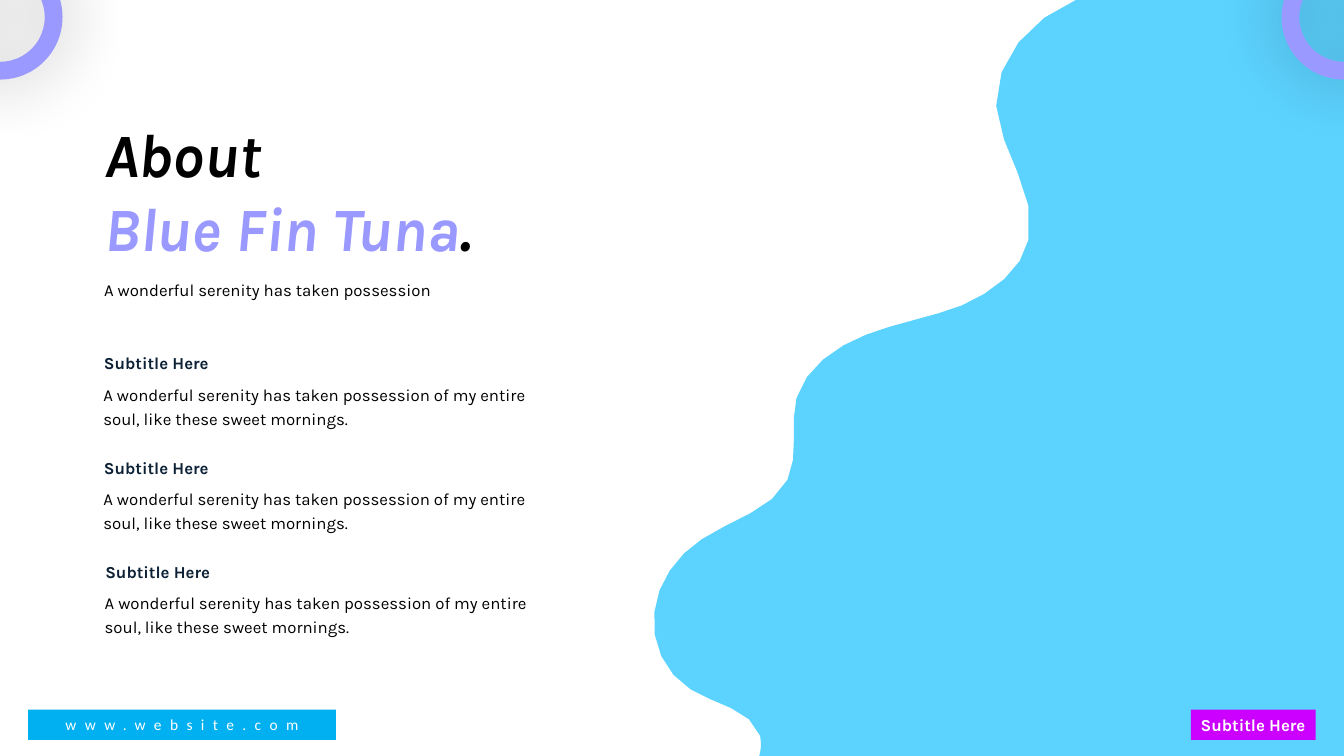
from lxml.etree import SubElement
from pptx import Presentation
from pptx.dml.color import RGBColor
from pptx.enum.shapes import MSO_SHAPE
from pptx.enum.text import MSO_ANCHOR, MSO_AUTO_SIZE, PP_ALIGN
from pptx.oxml.ns import qn
from pptx.util import Inches, Pt

COLORS = {"wave": "5CD3FF", "accent": "9999FF", "text": "000000", "heading": "0C2036",
          "label": "CC00FF", "website": "00B0F0", "white": "FFFFFF"}

# Edge of the wave from the bottom up: two control points and an end point per curve
WAVE_START = (56.49, 100)
WAVE_CURVES = [
    ((56.64, 99.2), (56.64, 98.27), (56.56, 97.33)),
    ((55.89, 93.73), (53.19, 93.2), (51.39, 91.2)),
    ((49.44, 89.07), (48.39, 84.93), (48.69, 80.93)),
    ((48.91, 77.07), (50.34, 73.47), (52.21, 71.33)),
    ((54.46, 68.67), (57.46, 67.47), (58.59, 63.47)),
    ((59.49, 60.13), (58.74, 56.13), (59.26, 52.67)),
    ((59.94, 48.67), (62.12, 45.87), (64.44, 44.27)),
    ((66.77, 42.67), (69.24, 42), (71.57, 40.4)),
    ((73.82, 38.67), (76.07, 35.73), (76.52, 31.73)),
    ((77.34, 25.6), (74.34, 20), (74.12, 14)),
    ((73.97, 7.87), (76.74, 2.4), (80.05, 0)),
    ((81.7, -1.07), (83.5, -1.6), (85.3, -1.6)),
    ((87.1, -1.6), (88.97, -1.2), (90.7, -0.4)),
]
WAVE_CORNERS = [(91.82, 0), (100, 0), (100, 100)]
CURVE_STEPS = 4

TEXT_LEFT = 7
SECTION_TOP, SECTION_PITCH = 45.25, 13.8
SECTION_LEFTS = (7, 7, 7.1)
SECTION_HEADING = "Subtitle Here"
SECTION_BODY = ("A wonderful serenity has taken possession of my entire soul, "
                "like these sweet mornings.")


def curve_points(start, first, second, end):
    for step in range(1, CURVE_STEPS + 1):
        t = step / CURVE_STEPS
        weights = ((1 - t) ** 3, 3 * t * (1 - t) ** 2, 3 * t * t * (1 - t), t ** 3)
        yield tuple(sum(weight * point[axis] for weight, point
                        in zip(weights, (start, first, second, end))) for axis in (0, 1))


class SlideBuilder:
    """Places elements by percent of the slide's width and height."""

    def __init__(self, deck, page):
        self.deck, self.page = deck, page
        self.font = "Karla"

    def point(self, x, y):
        return (round(self.deck.slide_width * x / 100),
                round(self.deck.slide_height * y / 100))

    def frame(self, left, top, width, height):
        return self.point(left, top) + self.point(width, height)

    def style(self, font, size, color, bold=False, italic=False, name=None):
        font.name, font.size = name or self.font, Pt(size)
        font.bold, font.italic = bold, italic
        font.color.rgb = RGBColor.from_string(COLORS[color])

    def paint(self, shape, color):
        shape.shadow.inherit = False
        shape.fill.solid()
        shape.fill.fore_color.rgb = RGBColor.from_string(COLORS[color])
        shape.line.fill.background()
        return shape

    def title(self, lines, frame):
        box = self.page.shapes.title
        box.left, box.top, box.width, box.height = self.frame(*frame)
        text = box.text_frame
        text.auto_size, text.vertical_anchor = MSO_AUTO_SIZE.NONE, MSO_ANCHOR.TOP
        for index, spans in enumerate(lines):
            para = text.add_paragraph() if index else text.paragraphs[0]
            para.alignment, para.space_before = PP_ALIGN.LEFT, Pt(0)
            self.style(para.font, 44, "text", bold=True, italic=True)
            for words, color in spans:
                span = para.add_run()
                span.text = words
                span.font.color.rgb = RGBColor.from_string(COLORS[color])

    def text(self, words, frame, spacing, color="text", bold=False):
        box = self.page.shapes.add_textbox(*self.frame(*frame))
        box.text_frame.word_wrap = True
        para = box.text_frame.paragraphs[0]
        para.text, para.line_spacing = words, spacing
        self.style(para.font, 12, color, bold)

    def banner(self, kind, words, frame, fill, size, align, bold=False, name=None, tracking=0):
        shape = self.paint(self.page.shapes.add_shape(kind, *self.frame(*frame)), fill)
        if kind == MSO_SHAPE.ROUNDED_RECTANGLE:
            shape.adjustments[0] = 0
        shape.text_frame.word_wrap = bool(tracking)
        shape.text_frame.vertical_anchor = MSO_ANCHOR.MIDDLE
        para = shape.text_frame.paragraphs[0]
        para.text, para.alignment = words, align
        self.style(para.font, size, "white", bold, name=name)
        if tracking:
            para.runs[0].font._element.set("spc", str(tracking * 100))

    def ring(self, center):
        frame = self.frame(center - 4.65, -6, 9.3, 16.53)
        ring = self.paint(self.page.shapes.add_shape(MSO_SHAPE.DONUT, *frame), "accent")
        ring.adjustments[0] = 0.142
        # Soft shadow all round
        effects = ring._element.spPr.find(qn("a:effectLst"))
        shadow = SubElement(effects, qn("a:outerShdw"), blurRad=str(Pt(49)), dist="0",
                            algn="ctr", rotWithShape="0")
        tint = SubElement(shadow, qn("a:srgbClr"), val=COLORS["text"])
        SubElement(tint, qn("a:alpha"), val="33000")

    def wave(self):
        start, points = WAVE_START, []
        for curve in WAVE_CURVES:
            points += curve_points(start, *curve)
            start = curve[-1]
        outline = self.page.shapes.build_freeform(*self.point(*WAVE_START))
        outline.add_line_segments([self.point(*p) for p in points + WAVE_CORNERS], close=True)
        self.paint(outline.convert_to_shape(), "wave")


def main():
    deck = Presentation()
    deck.slide_width, deck.slide_height = Inches(13.33), Inches(7.5)
    page = deck.slides.add_slide(deck.slide_layouts[5])
    builder = SlideBuilder(deck, page)

    # Background and heading
    builder.wave()
    builder.title([[("About", "text")], [("Blue Fin Tuna", "accent"), (".", "text")]],
                  (TEXT_LEFT, 14.7, 39.16, 21.07))
    builder.text("A wonderful serenity has taken possession",
                 (TEXT_LEFT, 35.07, 33.16, 4.93), 1.5)

    # Sections
    for index, left in enumerate(SECTION_LEFTS):
        top = SECTION_TOP + index * SECTION_PITCH
        builder.text(SECTION_BODY, (left - 0.05, top + 4.4, 33.1, 7.47), 1.2)
        builder.text(SECTION_HEADING, (left, top, 9.45, 4.53), 1.3, "heading", bold=True)

    # Footer
    builder.banner(MSO_SHAPE.RECTANGLE, "Subtitle Here", (88.6, 93.87, 9.3, 4),
                   "label", 12, PP_ALIGN.LEFT, bold=True)
    builder.banner(MSO_SHAPE.ROUNDED_RECTANGLE, "www.website.com", (2.1, 93.87, 22.9, 4),
                   "website", 11, PP_ALIGN.CENTER, name="Calibri", tracking=6)

    # Corner rings
    for center in (0, 100):
        builder.ring(center)

    deck.save("out.pptx")


if __name__ == "__main__":
    main()
